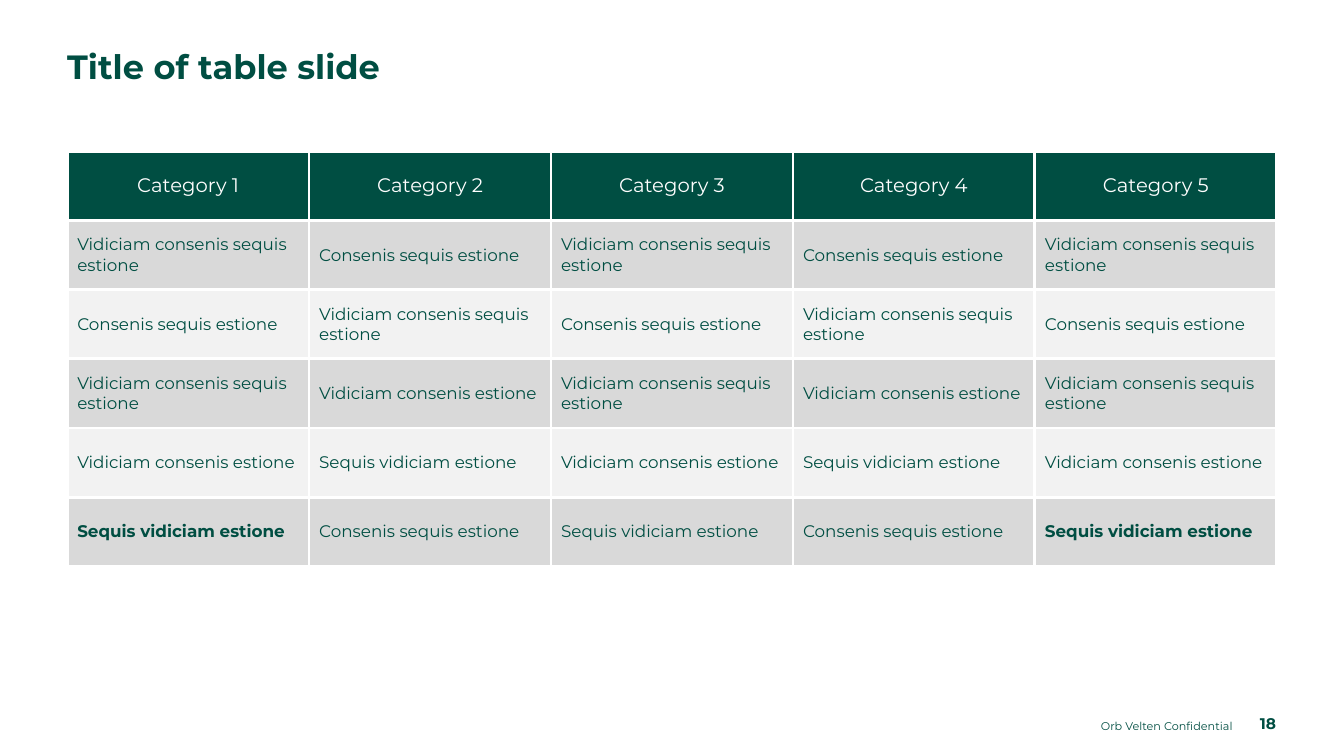
from lxml.etree import SubElement
from pptx import Presentation
from pptx.dml.color import RGBColor
from pptx.enum.text import MSO_ANCHOR, PP_ALIGN
from pptx.oxml.ns import qn
from pptx.util import Pt

FONT = "Montserrat"
GREEN = "004E42"
WHITE = "FFFFFF"
BANDS = ("D9D9D9", "F2F2F2")
LEFT, WIDTH = 48, 864
COLS = 5
ROW_H = 49.44

LONG = "Vidiciam consenis sequis estione"
SHORT = "Consenis sequis estione"
MID = "Vidiciam consenis estione"
LAST = "Sequis vidiciam estione"
PAIRS = [(LONG, SHORT), (SHORT, LONG), (LONG, MID), (MID, LAST), (LAST, SHORT)]


def color(code):
    return RGBColor.from_string(code)


def write(frame, text, size=12, ink=GREEN, bold=False, align=PP_ALIGN.LEFT, space=None):
    par = frame.paragraphs[0]
    par.alignment = align
    par.line_spacing = space
    run = par.add_run()
    run.text = text
    font = run.font
    font.name = FONT
    font.size = Pt(size)
    font.bold = bold
    font.color.rgb = color(ink)


def trim(frame, anchor):
    frame.margin_left = frame.margin_right = 0
    frame.margin_top = frame.margin_bottom = 0
    frame.vertical_anchor = anchor
    frame.word_wrap = True


def place(shape, left, top, width, height):
    shape.left, shape.top = Pt(left), Pt(top)
    shape.width, shape.height = Pt(width), Pt(height)


def add_head(slide, text):
    title = slide.shapes.title
    place(title, LEFT, 36, WIDTH, 54)
    trim(title.text_frame, MSO_ANCHOR.TOP)
    write(title.text_frame, text, size=24, bold=True, space=0.9)


def add_note(slide, text, left, width, **style):
    box = slide.shapes.add_textbox(Pt(left), Pt(511.2), Pt(width), Pt(12.24))
    trim(box.text_frame, MSO_ANCHOR.BOTTOM)
    write(box.text_frame, text, align=PP_ALIGN.RIGHT, **style)


def edge(cell):
    props = cell._tc.get_or_add_tcPr()
    for index, side in enumerate(("lnL", "lnR", "lnT", "lnB")):
        line = SubElement(props, qn(f"a:{side}"), w=str(Pt(2.25)))
        fill = SubElement(line, qn("a:solidFill"))
        SubElement(fill, qn("a:srgbClr"), val=WHITE)
        props.insert(index, line)


def fill_cell(cell, text, back, **style):
    cell.fill.solid()
    cell.fill.fore_color.rgb = color(back)
    cell.vertical_anchor = MSO_ANCHOR.MIDDLE
    edge(cell)
    write(cell.text_frame, text, **style)


def add_grid(slide):
    count = len(PAIRS) + 1
    table = slide.shapes.add_table(
        count, COLS, Pt(LEFT), Pt(108), Pt(WIDTH), Pt(ROW_H * count)
    ).table
    table.first_row = table.horz_banding = False
    for row in table.rows:
        row.height = Pt(ROW_H)
    for col in range(COLS):
        table.columns[col].width = Pt(WIDTH / COLS)
        fill_cell(table.cell(0, col), f"Category {col + 1}", GREEN,
                  size=14, ink=WHITE, align=PP_ALIGN.CENTER)
        for row, pair in enumerate(PAIRS):
            strong = row == len(PAIRS) - 1 and col in (0, COLS - 1)
            fill_cell(table.cell(row + 1, col), pair[col % 2], BANDS[row % 2],
                      bold=strong)


def main():
    deck = Presentation()
    deck.slide_width, deck.slide_height = Pt(960), Pt(540)
    slide = deck.slides.add_slide(deck.slide_layouts[5])
    add_head(slide, "Title of table slide")
    add_grid(slide)
    add_note(slide, "18", 874.8, 36.72, size=11, bold=True)
    add_note(slide, "Orb Velten Confidential", 480.96, 399.6, size=8)
    deck.save("out.pptx")


if __name__ == "__main__":
    main()
